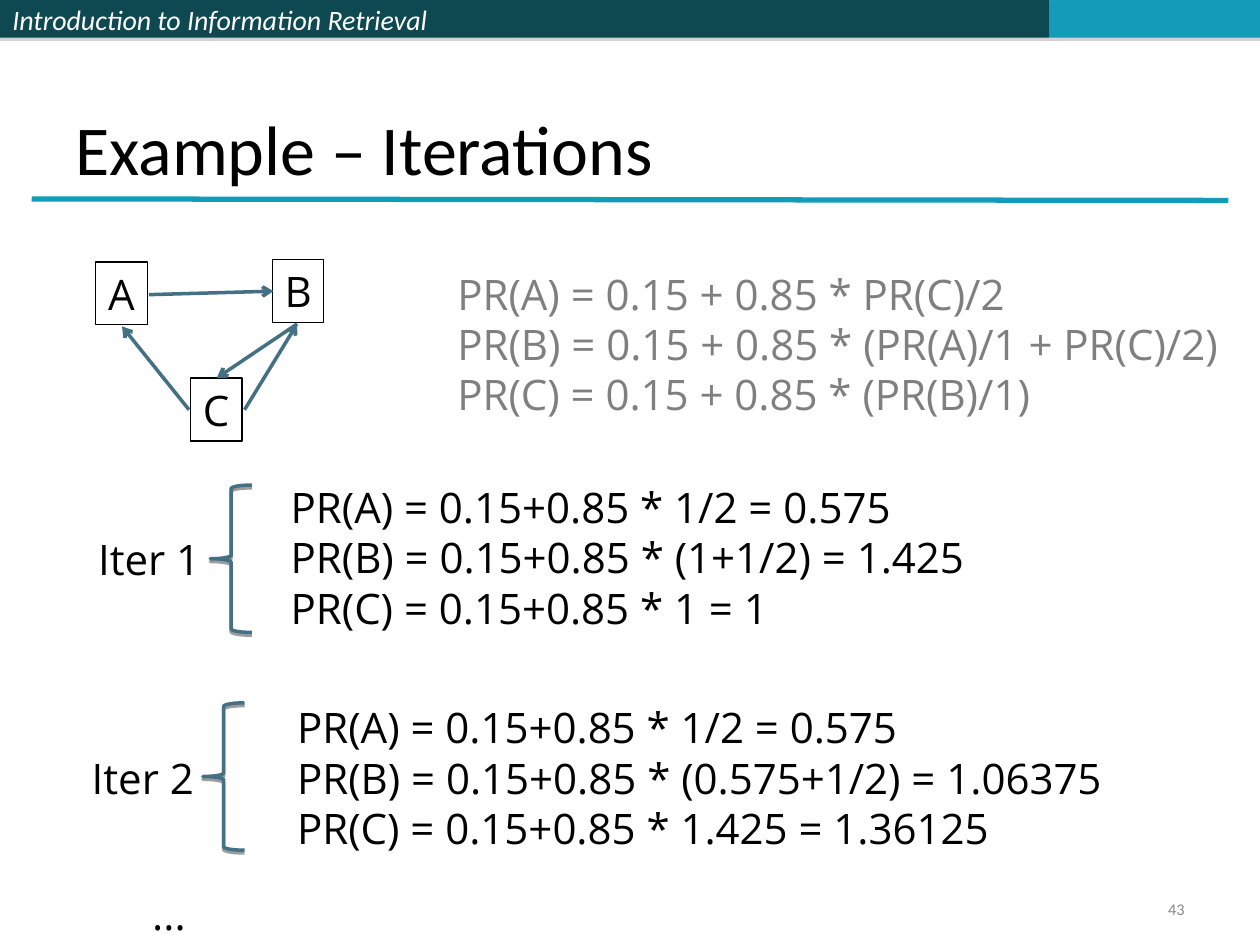
import pptx
import pptx.util
import pptx.dml.color
import pptx.enum.shapes
import pptx.enum.text
import pptx.oxml
import pptx.oxml.ns

Cm, Pt = pptx.util.Cm, pptx.util.Pt
SHAPE = pptx.enum.shapes.MSO_SHAPE
ALIGN = pptx.enum.text.PP_ALIGN
ANCHOR = pptx.enum.text.MSO_ANCHOR
LINK = pptx.enum.shapes.MSO_CONNECTOR.STRAIGHT

HEX = {
    "dark": "0E4851", "teal": "139CB7", "steel": "437085",
    "black": "000000", "white": "FFFFFF", "gray": "7F7F7F",
    "pale": "898989", "shade": "808080",
}


def color(name):
    return pptx.dml.color.RGBColor.from_string(HEX[name])


def add_shade(shape, name, alpha, dist):
    """Give the shape a hard shadow straight below it."""
    shape.shadow.inherit = False
    effects = shape._element.spPr.find(pptx.oxml.ns.qn("a:effectLst"))
    effects.append(pptx.oxml.parse_xml(
        f'<a:outerShdw {pptx.oxml.ns.nsdecls("a")} blurRad="0" dist="{Pt(dist)}" '
        f'dir="5400000" rotWithShape="0"><a:srgbClr val="{HEX[name]}">'
        f'<a:alpha val="{alpha * 1000}"/></a:srgbClr></a:outerShdw>'))


def write(shape, lines, size=24, font="Open Sans", ink="black", wrap=False,
          anchor=ANCHOR.TOP, align=ALIGN.LEFT, italic=False):
    frame = shape.text_frame
    frame.word_wrap = wrap
    frame.vertical_anchor = anchor
    for i, line in enumerate(lines):
        para = frame.paragraphs[0] if i == 0 else frame.add_paragraph()
        para.alignment = align
        run = para.add_run()
        run.text = line
        run.font.size = Pt(size)
        run.font.name = font
        run.font.italic = italic
        run.font.color.rgb = color(ink)


def add_text(slide, x, y, w, h, lines, **style):
    box = slide.shapes.add_textbox(Cm(x), Cm(y), Cm(w), Cm(h))
    write(box, lines, **style)


def add_bar(slide, x, w, fill):
    bar = slide.shapes.add_shape(SHAPE.RECTANGLE, Cm(x), 0, Cm(w), Cm(0.76))
    bar.fill.solid()
    bar.fill.fore_color.rgb = color(fill)
    bar.line.fill.background()
    add_shade(bar, "shade", 35, 1.8)
    return bar


def add_line(slide, ends, ink, width, arrow=False):
    line = slide.shapes.add_connector(LINK, *map(Cm, ends))
    line.line.color.rgb = color(ink)
    line.line.width = Pt(width)
    props = line._element.spPr
    if arrow:
        head = pptx.oxml.parse_xml(
            f'<a:tailEnd {pptx.oxml.ns.nsdecls("a")} type="arrow"/>')
        line.line._get_or_add_ln().append(head)
    props.append(pptx.oxml.parse_xml(
        f'<a:effectLst {pptx.oxml.ns.nsdecls("a")}/>'))


def add_node(slide, x, y, name):
    node = slide.shapes.add_shape(
        SHAPE.RECTANGLE, Cm(x), Cm(y), Cm(1.04), Cm(1.27))
    node.shadow.inherit = False
    node.fill.background()
    node.line.color.rgb = color("black")
    node.line.width = Pt(0.75)
    write(node, [name])


def add_brace(slide, x, y):
    brace = slide.shapes.add_shape(
        SHAPE.LEFT_BRACE, Cm(x), Cm(y), Cm(0.84), Cm(2.97))
    brace.fill.background()
    brace.line.color.rgb = color("steel")
    brace.line.width = Pt(2)
    add_shade(brace, "black", 38, 1.6)


def add_ranks(slide, x, y, w, sums, ink="black"):
    """One line of PageRank per node."""
    lines = [f"PR({name}) = {total}" for name, total in zip("ABC", sums)]
    add_text(slide, x, y, w, 3.3, lines, ink=ink)


def main():
    deck = pptx.Presentation()
    deck.slide_width, deck.slide_height = Cm(25.4), Cm(19.05)
    slide = deck.slides.add_slide(deck.slide_layouts[6])

    # Top band
    band = add_bar(slide, 0, 10.36, "dark")
    write(band, ["Introduction to Information Retrieval"], size=16,
          font="Calibri", ink="white", wrap=True, anchor=ANCHOR.MIDDLE,
          italic=True)
    add_bar(slide, 10.36, 10.8, "dark")
    add_bar(slide, 21.16, 4.24, "teal")

    # Title, rule and page number
    add_line(slide, (0.64, 4.01, 24.76, 4.04), "teal", 3)
    add_text(slide, 1.27, 0.76, 22.86, 3.18, ["Example – Iterations"],
             size=40, font="Calibri", wrap=True, anchor=ANCHOR.BOTTOM)
    add_text(slide, 18.21, 17.98, 5.92, 0.69, ["43"], size=9.3,
             font="Calibri", ink="pale", wrap=True, anchor=ANCHOR.MIDDLE,
             align=ALIGN.RIGHT)

    # Link graph
    for x, y, name in ((1.93, 5.28, "A"), (5.49, 5.23, "B"), (3.84, 7.62, "C")):
        add_node(slide, x, y, name)
    for ends in (
        (3.0, 5.94, 5.51, 5.87),    # A to B
        (5.99, 6.53, 4.37, 7.62),   # B to C
        (4.93, 8.26, 5.99, 6.53),   # C to B
        (3.81, 8.26, 2.46, 6.58),   # C to A
    ):
        add_line(slide, ends, "steel", 2, arrow=True)

    # General formulas
    add_ranks(slide, 8.97, 5.28, 15.93, (
        "0.15 + 0.85 * PR(C)/2",
        "0.15 + 0.85 * (PR(A)/1 + PR(C)/2)",
        "0.15 + 0.85 * (PR(B)/1)"), ink="gray")

    # First iteration
    add_ranks(slide, 5.61, 9.58, 14.12, (
        "0.15+0.85 * 1/2 = 0.575",
        "0.15+0.85 * (1+1/2) = 1.425",
        "0.15+0.85 * 1 = 1"))
    add_brace(slide, 4.24, 9.78)
    add_text(slide, 1.73, 10.64, 2.62, 1.27, ["Iter 1"])

    # Second iteration
    add_ranks(slide, 5.74, 14.02, 16.76, (
        "0.15+0.85 * 1/2 = 0.575",
        "0.15+0.85 * (0.575+1/2) = 1.06375",
        "0.15+0.85 * 1.425 = 1.36125"))
    add_brace(slide, 4.09, 14.17)
    add_text(slide, 1.6, 15.04, 2.62, 1.27, ["Iter 2"])
    add_text(slide, 2.82, 17.78, 1.19, 1.27, ["..."])

    deck.save("out.pptx")


if __name__ == "__main__":
    main()
